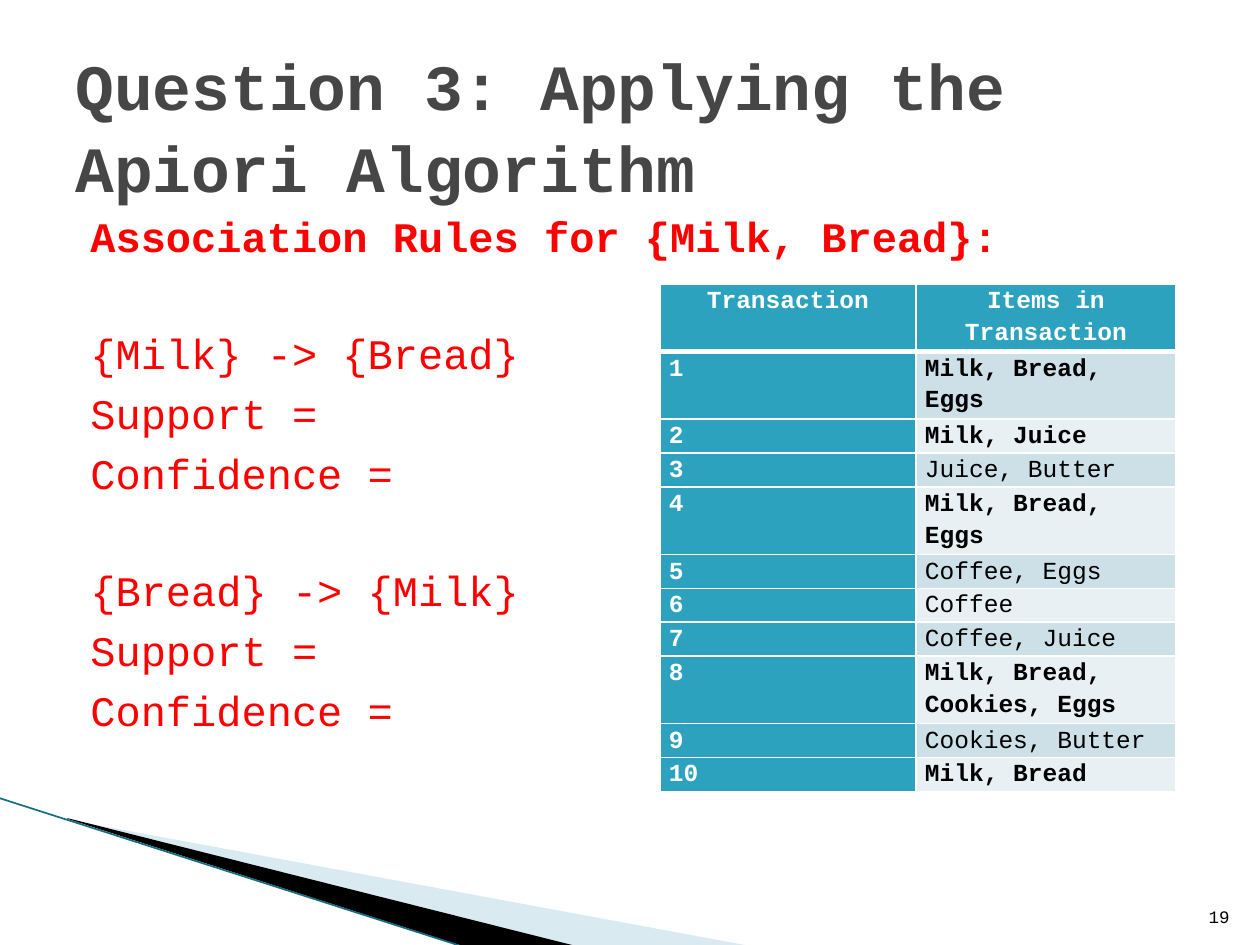
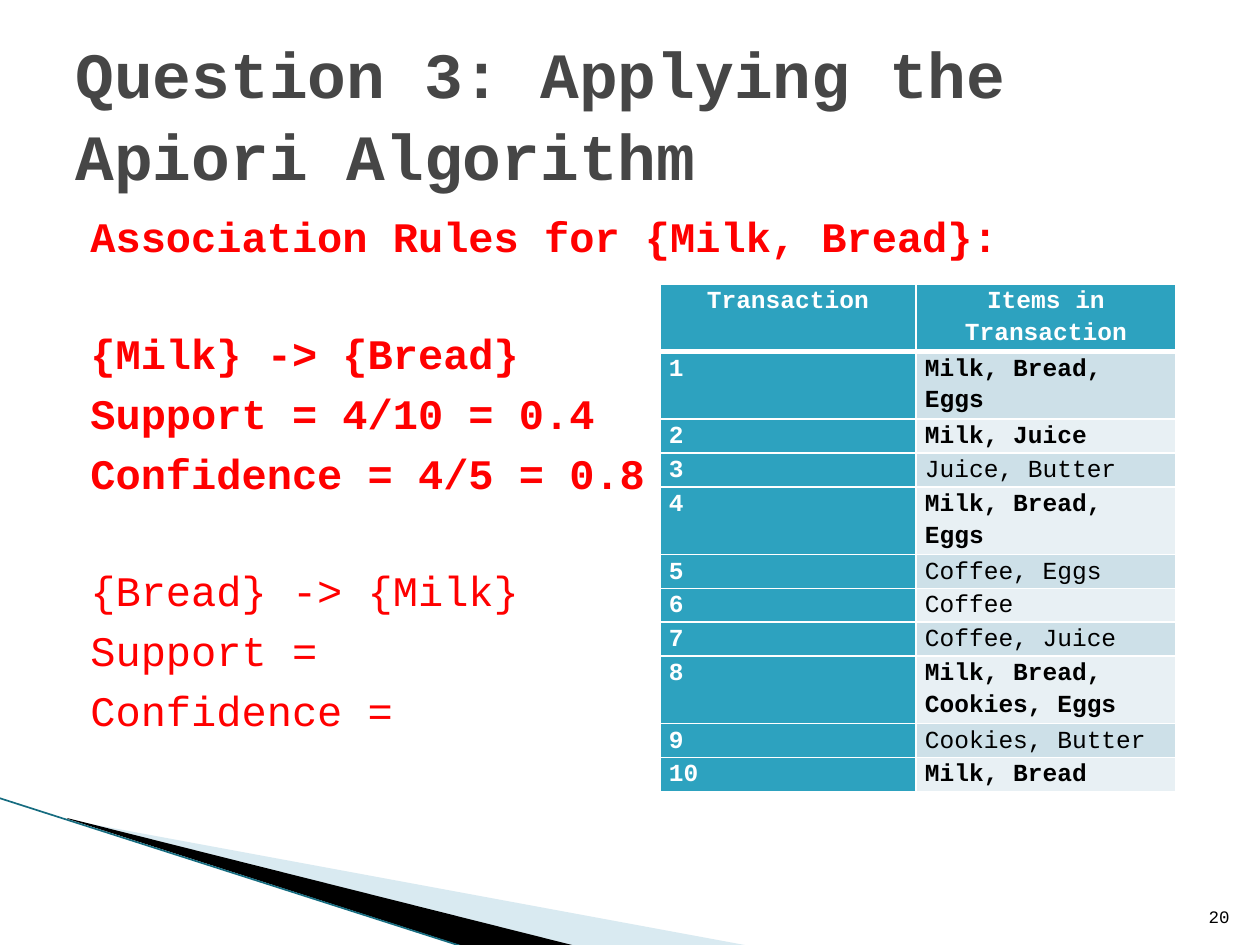
from lxml import etree
from pptx import Presentation, util as u
from pptx.dml.color import RGBColor
from pptx.enum import shapes, text
from pptx.oxml import ns

PX = 914400 / 126
FONT = "Courier New"
WHITE = RGBColor(0xFF, 0xFF, 0xFF)
BLACK = RGBColor(0x00, 0x00, 0x00)
RED = RGBColor(0xFF, 0x00, 0x00)
GREY = RGBColor(0x46, 0x46, 0x46)
TEAL = RGBColor(0x2D, 0xA2, 0xBF)
DARK_TEAL = RGBColor(0x16, 0x6C, 0x80)
PALE_BLUE = RGBColor(0xA0, 0xCB, 0xDC)
BANDS = RGBColor(0xCD, 0xE0, 0xE8), RGBColor(0xE8, 0xF0, 0xF4)

HEADING = "Question 3: Applying the Apiori Algorithm"
RULES_HEADING = "Association Rules for {Milk, Bread}:"
HEADERS = "Transaction", "Items in Transaction"
ITEMS = ["Milk, Bread, Eggs", "Milk, Juice", "Juice, Butter", "Milk, Bread, Eggs",
         "Coffee, Eggs", "Coffee", "Coffee, Juice", "Milk, Bread, Cookies, Eggs",
         "Cookies, Butter", "Milk, Bread"]
OPEN_RESULT = ["Support =", "Confidence ="]
MILK_RESULT = ["Support = 4/10 = 0.4", "Confidence = 4/5 = 0.8"]


def px(n):
    return u.Emu(round(n * PX))


class Deck:
    """Style of the deck and the slide being drawn."""

    def __init__(self):
        self.prs = Presentation()
        self.prs.slide_width, self.prs.slide_height = px(1260), px(945)

    def slide(self):
        self.s = self.prs.slides.add_slide(self.prs.slide_layouts[6])
        self.wedge([(69, 820), (750, 946), (575, 946), (69, 819)], PALE_BLUE, 40)
        self.wedge([(67, 818), (576, 946), (469, 948), (68, 819)], BLACK)
        self.line(-1, 798, 467, 948)

    def wedge(self, points, color, alpha=100):
        fb = self.s.shapes.build_freeform(*points[0], scale=PX)
        fb.add_line_segments(points[1:])
        sp = fb.convert_to_shape()
        sp.shadow.inherit = False
        sp.line.fill.background()
        sp.fill.solid()
        sp.fill.fore_color.rgb = color
        if alpha < 100:
            clr = sp.fill._xPr.find(".//" + ns.qn("a:srgbClr"))
            etree.SubElement(clr, ns.qn("a:alpha"), val=str(alpha * 1000))

    def line(self, x1, y1, x2, y2):
        sp = self.s.shapes.add_connector(shapes.MSO_CONNECTOR.STRAIGHT,
                                         px(x1), px(y1), px(x2), px(y2))
        sp.line.color.rgb = DARK_TEAL
        sp.line.width = u.Pt(0.95)
        etree.SubElement(sp._element.spPr, ns.qn("a:effectLst"))

    def box(self, x, y, w, h, anchor):
        tf = self.s.shapes.add_textbox(px(x), px(y), px(w), px(h)).text_frame
        tf.word_wrap = True
        tf.vertical_anchor = anchor
        return tf

    def run(self, p, words, size, color, bold=False):
        r = p.add_run()
        r.text = words
        r.font.name, r.font.size, r.font.bold = FONT, u.Pt(size), bold
        r.font.color.rgb = color

    def title(self, y):
        tf = self.box(63, y, 1134, 158, text.MSO_ANCHOR.MIDDLE)
        tf.margin_top = px(18)
        p = tf.paragraphs[0]
        p.line_spacing = 1.07
        self.run(p, HEADING, 36.9, GREY, True)

    def rules(self, blocks):
        tf = self.box(63, 204, 1134, 624, text.MSO_ANCHOR.TOP)
        p = tf.paragraphs[0]
        for b, (lines, bold) in enumerate(blocks):
            for i, words in enumerate(lines):
                if b or i:
                    p = tf.add_paragraph()
                p.space_before = u.Pt(38.2 if b and i == 0 else 5.5)
                p._p.get_or_add_pPr().set("marL", str(px(15)))
                self.run(p, words, 24, RED, bold)

    def number(self, n):
        p = self.box(1192, 883, 50, 50, text.MSO_ANCHOR.BOTTOM).paragraphs[0]
        p.alignment = text.PP_ALIGN.RIGHT
        self.run(p, str(n), 10, BLACK)

    def cell(self, cell, words, fill, color, bold, header):
        cell.fill.solid()
        cell.fill.fore_color.rgb = fill
        cell.margin_left = cell.margin_right = px(9)
        cell.margin_top = cell.margin_bottom = 0
        p = cell.text_frame.paragraphs[0]
        p.line_spacing = 1.15
        if header:
            p.alignment = text.PP_ALIGN.CENTER
        self.run(p, words, 14, color, bold)
        tcPr = cell._tc.get_or_add_tcPr()
        for i, side in enumerate("LRTB"):
            width = u.Pt(3 if header and side == "B" else 1)
            ln = etree.Element(ns.qn("a:ln" + side), w=str(width))
            fill_el = etree.SubElement(ln, ns.qn("a:solidFill"))
            etree.SubElement(fill_el, ns.qn("a:srgbClr"), val=str(WHITE))
            tcPr.insert(i, ln)

    def table(self):
        gf = self.s.shapes.add_table(len(ITEMS) + 1, 2, px(660), px(284), px(516), px(440))
        t = gf.table
        t.columns[0].width, t.columns[1].width = px(256), px(260)
        for c, words in enumerate(HEADERS):
            self.cell(t.cell(0, c), words, TEAL, WHITE, True, True)
        for n, items in enumerate(ITEMS, 1):
            self.cell(t.cell(n, 0), str(n), TEAL, WHITE, True, False)
            self.cell(t.cell(n, 1), items, BANDS[(n - 1) % 2], BLACK, "Milk" in items, False)
        for row, words in zip(t.rows, [HEADERS[1]] + ITEMS):
            row.height = px(31 * (2 if len(words) > 15 else 1))
        gf.height = px(440)


deck = Deck()
for n, title_y, milk_result, solved in [(19, 38, OPEN_RESULT, False),
                                        (20, 26, MILK_RESULT, True)]:
    deck.slide()
    deck.rules([([RULES_HEADING], True),
                (["{Milk} -> {Bread}"] + milk_result, solved),
                (["{Bread} -> {Milk}"] + OPEN_RESULT, False)])
    deck.title(title_y)
    deck.number(n)
    deck.table()
deck.prs.save("out.pptx")
